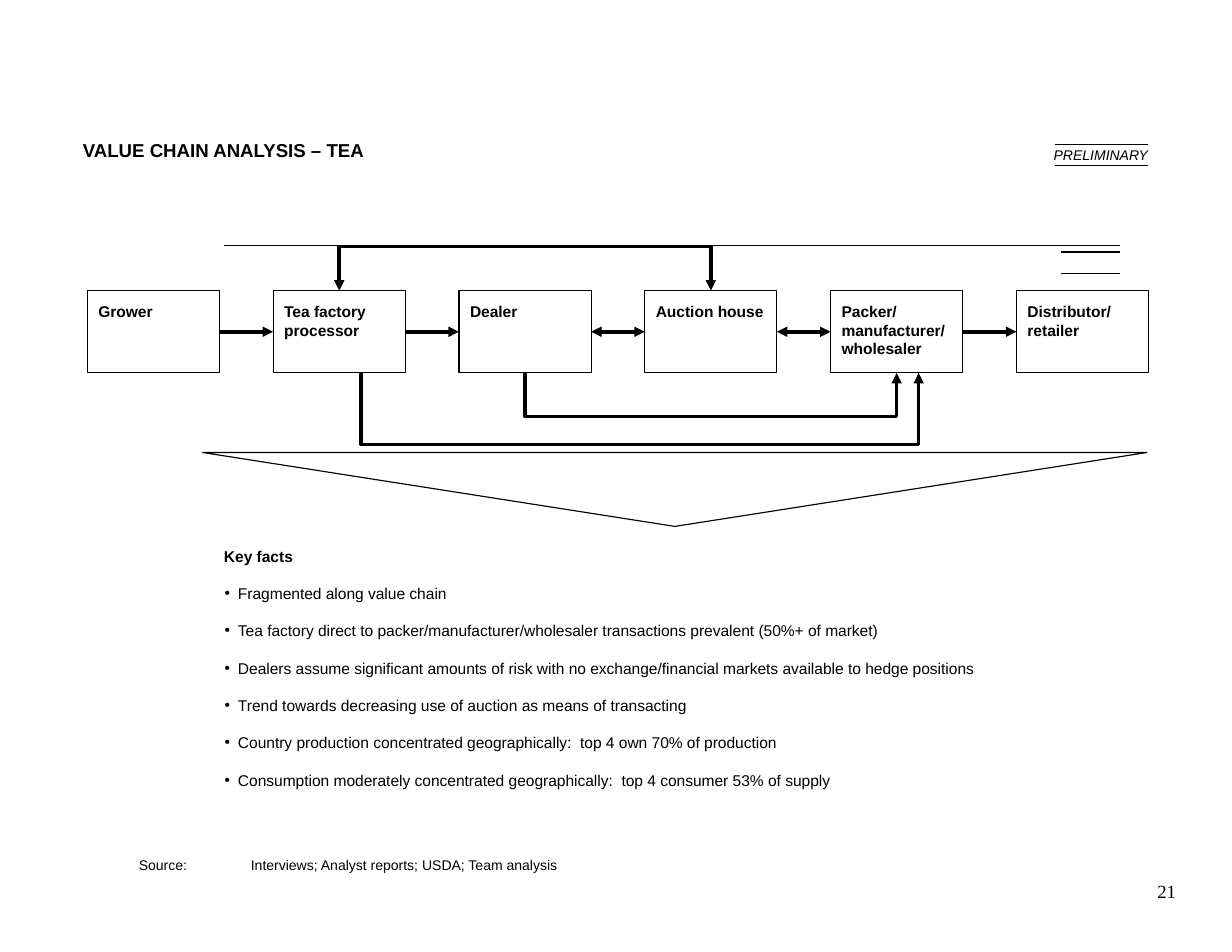
import pptx
import pptx.util
import pptx.dml.color
import pptx.enum.shapes
import pptx.enum.text
import pptx.oxml
import pptx.oxml.ns
import lxml.etree

Pt = pptx.util.Pt
SHAPE = pptx.enum.shapes.MSO_SHAPE
ALIGN = pptx.enum.text.PP_ALIGN
ANCHOR = pptx.enum.text.MSO_ANCHOR
BLACK = pptx.dml.color.RGBColor(0x00, 0x00, 0x00)
WHITE = pptx.dml.color.RGBColor(0xFF, 0xFF, 0xFF)

# The slide is a grid of 110 columns by 85 rows; boxes are (left, top, width, height) in cells
SLIDE_W, SLIDE_H = pptx.util.Inches(11), pptx.util.Inches(8.5)
CELL_W, CELL_H = SLIDE_W / 110, SLIDE_H / 85
THIN, THICK = Pt(0.75), Pt(2.25)

STEPS = [
    ["Grower"],
    ["Tea factory processor"],
    ["Dealer"],
    ["Auction house"],
    ["Packer/", "manufacturer/", "wholesaler"],
    ["Distributor/ retailer"],
]
TWO_WAY = {2, 3}  # steps that also receive from the next one
FACTS = [
    "Fragmented along value chain",
    "Tea factory direct to packer/manufacturer/wholesaler transactions prevalent (50%+ of market)",
    "Dealers assume significant amounts of risk with no exchange/financial markets available to hedge positions",
    "Trend towards decreasing use of auction as means of transacting",
    "Country production concentrated geographically:  top 4 own 70% of production",
    "Consumption moderately concentrated geographically:  top 4 consumer 53% of supply",
]


def col(n):
    return round(n * CELL_W)


def row(n):
    return round(n * CELL_H)


def place(box):
    x, y, w, h = box
    return col(x), row(y), col(w), row(h)


def child(parent, tag, **attrs):
    el = lxml.etree.SubElement(parent, pptx.oxml.ns.qn(tag))
    for name, value in attrs.items():
        el.set(name, str(value))
    return el


def add_run(p, text, size, font="Arial", bold=False, italic=False):
    r = p.add_run()
    r.text = text
    f = r.font
    f.name, f.size, f.bold, f.italic = font, Pt(size), bold, italic
    f.color.rgb = BLACK


def set_frame(tf, margin=0, anchor=ANCHOR.TOP, wrap=True):
    tf.margin_left = tf.margin_right = tf.margin_top = tf.margin_bottom = margin
    tf.vertical_anchor, tf.word_wrap = anchor, wrap


def add_text(slide, box, anchor=ANCHOR.TOP, align=ALIGN.LEFT, wrap=True):
    tf = slide.shapes.add_textbox(*place(box)).text_frame
    set_frame(tf, anchor=anchor, wrap=wrap)
    p = tf.paragraphs[0]
    p.alignment = align
    return tf, p


def style_line(sp, width, head=False, tail=False):
    sp.line.color.rgb = BLACK
    sp.line.width = width
    ln = sp.line._get_or_add_ln()
    for tag, wanted in (("a:headEnd", head), ("a:tailEnd", tail)):
        if wanted:
            child(ln, tag, type="triangle")


def add_line(slide, x1, y1, x2, y2, width=THIN, head=False, tail=False):
    cx = slide.shapes.add_connector(pptx.enum.shapes.MSO_CONNECTOR.STRAIGHT,
                                    col(x1), row(y1), col(x2), row(y2))
    style_line(cx, width, head, tail)
    child(cx._element.spPr, "a:effectLst")
    return cx


def add_outlined(slide, kind, box):
    sp = slide.shapes.add_shape(kind, *place(box))
    sp.shadow.inherit = False
    sp.fill.solid()
    sp.fill.fore_color.rgb = WHITE
    style_line(sp, THIN)
    return sp


def add_route(slide, x1, x2, y_box, y_turn, head=False):
    """Right-angled arrow that leaves and re-enters the row of boxes."""
    fb = slide.shapes.build_freeform(col(x1), row(y_box))
    fb.add_line_segments([(col(x1), row(y_turn)), (col(x2), row(y_turn)),
                          (col(x2), row(y_box))], close=False)
    sp = fb.convert_to_shape()
    sp.shadow.inherit = False
    sp.fill.background()
    style_line(sp, THICK, head, tail=True)


def add_header_rules(slide, box):
    x, y, w, h = box
    add_line(slide, x, y, x + w, y)
    for line_y in (y + 0.6, y + h):
        add_line(slide, x + w - 5.3, line_y, x + w, line_y)


def add_title(slide, box):
    tf, p = add_text(slide, box)
    add_run(p, "VALUE CHAIN ANALYSIS – TEA", 12, bold=True)


def add_sticker(slide, box):
    x, y, w, h = box
    for line_y in (y, y + h):
        add_line(slide, x, line_y, x + w, line_y)
    tf, p = add_text(slide, (x - 0.2, y + 0.2, w + 0.2, 1.5), align=ALIGN.RIGHT, wrap=False)
    add_run(p, "PRELIMINARY", 9, italic=True)


def add_chain(slide, box):
    x, y, w, h = box
    step_w = 11.8
    pitch = (w - step_w) / (len(STEPS) - 1)
    lefts = [x + i * pitch for i in range(len(STEPS))]

    # Step boxes
    steps = []
    for left, lines in zip(lefts, STEPS):
        sp = add_outlined(slide, SHAPE.RECTANGLE, (left, y, step_w, h))
        tf = sp.text_frame
        set_frame(tf, margin=col(1))
        for i, text in enumerate(lines):
            p = tf.add_paragraph() if i else tf.paragraphs[0]
            p.alignment = ALIGN.LEFT
            add_run(p, text, 10, bold=True)
        steps.append(sp)

    # Arrows between neighbours
    for i, (a, b) in enumerate(zip(steps, steps[1:])):
        mid = y + h / 2
        cx = add_line(slide, lefts[i] + step_w, mid, lefts[i + 1], mid,
                      THICK, head=i in TWO_WAY, tail=True)
        cx.begin_connect(a, 3)
        cx.end_connect(b, 1)

    # Routes that skip steps
    tea, dealer, auction, packer = lefts[1:5]
    half, two_thirds = step_w / 2, step_w * 2 / 3
    add_route(slide, tea + half, auction + half, y, y - 3.95, head=True)
    add_route(slide, tea + two_thirds, packer + two_thirds, y + h, y + h + 6.4)
    add_route(slide, dealer + half, packer + half, y + h, y + h + 3.9)


def add_funnel(slide, box):
    add_outlined(slide, SHAPE.ISOSCELES_TRIANGLE, box).rotation = 180


def add_facts(slide, box):
    tf, p = add_text(slide, box)
    add_run(p, "Key facts", 10, bold=True)
    for fact in FACTS:
        p = tf.add_paragraph()
        pPr = p._p.get_or_add_pPr()
        pPr.set("marL", str(col(1.25)))
        pPr.set("indent", str(-col(1.2)))
        child(child(pPr, "a:buClr"), "a:srgbClr", val=BLACK)
        child(pPr, "a:buFont", typeface="Arial")
        child(pPr, "a:buChar", char="•")
        p.space_before = Pt(12)
        add_run(p, fact, 10)


def add_source(slide, box):
    tf, p = add_text(slide, box, anchor=ANCHOR.BOTTOM)
    tabs = child(p._p.get_or_add_pPr(), "a:tabLst")
    for stop in (5, 15):
        child(tabs, "a:tab", pos=col(stop), algn="l")
    p.space_after = Pt(2)
    add_run(p, "\tSource:\tInterviews; Analyst reports; USDA; Team analysis", 9)


def add_page_number(slide, box):
    tf, p = add_text(slide, box, align=ALIGN.RIGHT)
    add_run(p, "21", 12, font="Times New Roman")


def main():
    prs = pptx.Presentation()
    prs.slide_width, prs.slide_height = SLIDE_W, SLIDE_H
    slide = prs.slides.add_slide(prs.slide_layouts[6])
    add_header_rules(slide, (20, 21.9, 80, 2.5))
    add_title(slide, (7.4, 12.4, 80, 2))
    add_sticker(slide, (94.2, 12.9, 8.3, 1.9))
    add_funnel(slide, (18.1, 40.4, 84.3, 6.6))
    add_chain(slide, (7.8, 25.95, 94.75, 7.35))
    add_facts(slide, (20, 48.8, 80, 21.7))
    add_source(slide, (7.4, 74.5, 95, 3.5))
    add_page_number(slide, (100, 78.6, 5, 2))
    prs.save("out.pptx")


if __name__ == "__main__":
    main()
